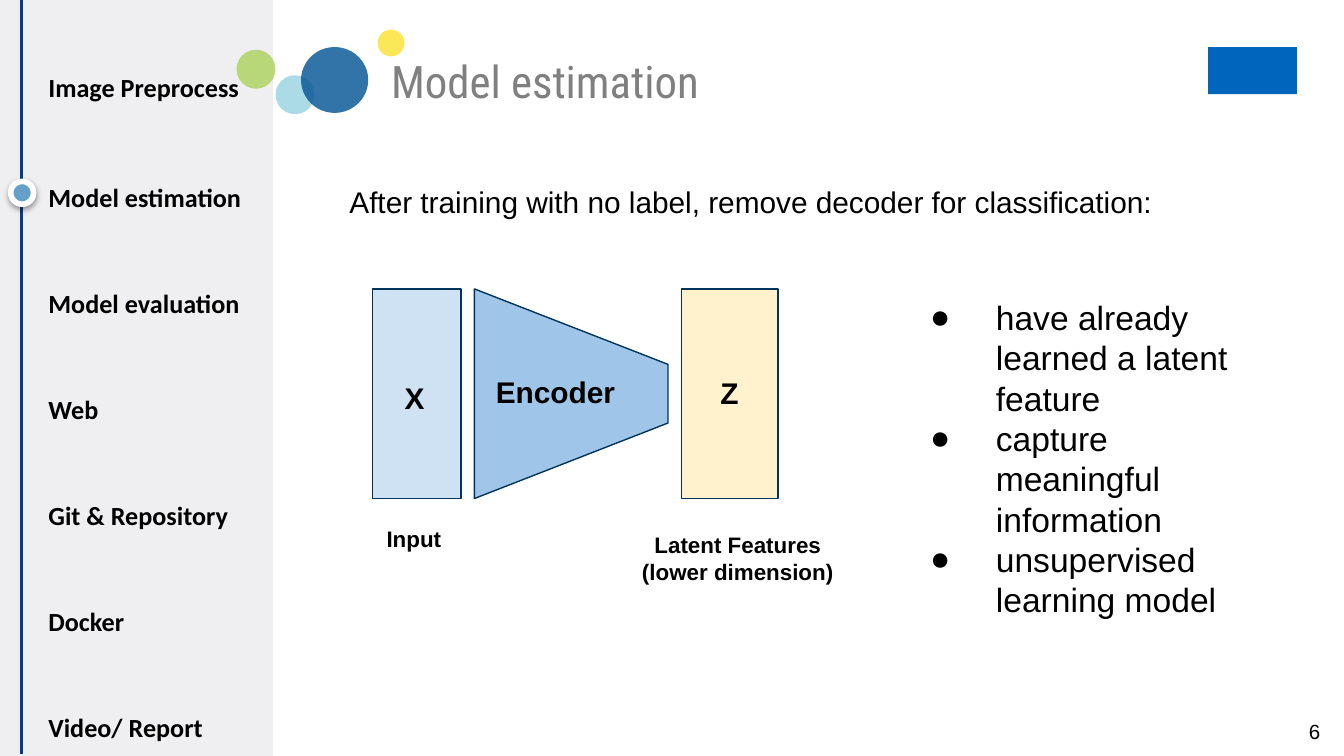
from lxml import etree
from pptx import Presentation
from pptx.dml.color import RGBColor
from pptx.enum.shapes import MSO_CONNECTOR, MSO_SHAPE
from pptx.enum.text import MSO_ANCHOR, MSO_AUTO_SIZE, PP_ALIGN
from pptx.oxml.ns import qn
from pptx.util import Inches, Pt

RECT, OVAL, TRAP = MSO_SHAPE.RECTANGLE, MSO_SHAPE.OVAL, MSO_SHAPE.TRAPEZOID
LEFT, MID = PP_ALIGN.LEFT, PP_ALIGN.CENTER
TOP, FIXED = MSO_ANCHOR.TOP, MSO_AUTO_SIZE.NONE

# Content
TITLE = "Model estimation"
NAV = [("Image Preprocess", 1.43), ("Model estimation", 1.45),
       ("Model evaluation", 1.44), ("Web", 0.38), ("Git & Repository", 1.35),
       ("Docker", 0.57), ("Video/ Report", 1.16)]
FIRST, LAST = 0.53, 5.26
POINTS = ["have already learned a latent feature",
          "capture meaningful information",
          "unsupervised learning model"]
DOTS = [(2.81, 0.22, 0.2, 0.2, "FBE22D"), (1.76, 0.37, 0.29, 0.29, "A9D25A"),
        (2.05, 0.56, 0.29, 0.29, "98D2E3"), (2.24, 0.35, 0.5, 0.49, "005293")]
BLOCKS = [(RECT, (2.77, 2.15, 0.66, 1.56), "CFE2F3"),
          (TRAP, (3.47, 2.21, 1.56, 1.44), "9FC5E8"),
          (RECT, (5.07, 2.15, 0.72, 1.56), "FFF2CC")]
# lines, box, side and top inset, size, bold, align, wrap, line spacing
LABELS = [
    (["After training with no label, remove decoder for classification:"],
     (2.6, 1.33, 6.05, 0.28), (0, 0), 16, False, LEFT, False, 1.14),
    (["Encoder"], (3.56, 2.65, 1.33, 0.6), (0.13, 0.13), 16, True, LEFT,
     True, 1),
    (["Z"], (5.23, 2.66, 0.44, 0.69), (0.13, 0.13), 16, True, LEFT, True, 1),
    (["X"], (3.01, 2.79, 0.15, 0.28), (0, 0), 16, True, LEFT, False, 1.14),
    (["Latent Features", "(lower dimension)"],
     (4.69, 3.95, 1.6, 0.69), (0, 0), 12, True, MID, True, 1),
    (["Input"], (2.53, 3.81, 1.1, 0.44), (0.1, 0.1), 12, True, MID, True, 1),
    (["6"], (9.64, 5.3, 0.49, 0.3), (0.1, 0.05), 11, False, LEFT, True, 1),
]


def color(fmt, code):
    fmt.rgb = RGBColor.from_string(code)


def place(box):
    return [Inches(v) for v in box]


def add(parent, tag, **attrs):
    node = etree.SubElement(parent, qn(tag))
    for key, val in attrs.items():
        node.set(key, str(val))
    return node


def draw(kind, box, fill, line=None, width=0.75, alpha=None):
    shape = slide.shapes.add_shape(kind, *place(box))
    shape.shadow.inherit = False
    shape.fill.solid()
    color(shape.fill.fore_color, fill)
    if alpha:
        tint = shape.fill._xPr.find(".//" + qn("a:srgbClr"))
        add(tint, "a:alpha", val=alpha * 1000)
    if line:
        color(shape.line.color, line)
        shape.line.width = Pt(width)
    else:
        shape.line.fill.background()
    return shape


def write(shape, lines, size, font="Arial", code="000000", bold=False,
          align=LEFT, inset=(0, 0), wrap=True, gap=1):
    frame = shape.text_frame
    frame.text = "\n".join(lines)
    frame.word_wrap, frame.auto_size = wrap, FIXED
    frame.vertical_anchor = TOP
    side, head = place(inset)
    frame.margin_left = frame.margin_right = side
    frame.margin_top = frame.margin_bottom = head
    for para in frame.paragraphs:
        para.alignment = align
        para.space_before = Pt(0)
        para.line_spacing = gap
        for run in para.runs:
            run.font.name, run.font.size = font, Pt(size)
            run.font.bold = bold
            color(run.font.color, code)


def move(shape, box):
    shape.left, shape.top, shape.width, shape.height = place(box)


# Wide 16:9 slide
prs = Presentation()
prs.slide_width = Inches(10)
prs.slide_height = Inches(10) * 9 // 16
slide = prs.slides.add_slide(prs.slide_layouts[1])

# Title and bullet list
title, body = slide.placeholders
move(title, (2.91, 0.4, 3.04, 0.4))
write(title, [TITLE], 24, "Roboto Condensed", "808080")
move(body, (6.61, 2.08, 3.04, 2.87))
write(body, POINTS, 18, inset=(0.13, 0.13))
for para in body.text_frame.paragraphs:
    props = para._p.get_or_add_pPr()
    props.set("marL", str(Inches(0.67)))
    props.set("indent", str(Inches(-0.49)))
    add(props, "a:buFont", typeface="Arial")
    add(props, "a:buChar", char="●")

# Plain block in the corner
draw(RECT, (8.99, 0.35, 0.66, 0.35), "0065BD")

# Sidebar with timeline
draw(RECT, (-0.06, 0, 2.09, 5.66), "EFEFF1")
rail = slide.shapes.add_connector(MSO_CONNECTOR.STRAIGHT,
                                  *place((0.16, 0, 0.16, 5.61)))
color(rail.line.color, "023E8A")
rail.line.width = Pt(1.5)
add(rail._element.spPr, "a:effectLst")
step = (LAST - FIRST) / (len(NAV) - 1)
for i, (name, width) in enumerate(NAV):
    box = slide.shapes.add_textbox(*place((0.36, FIRST + step * i, width, 0.26)))
    write(box, [name], 14, "Calibri", bold=True, wrap=False,
          gap=1.15 if i else 1)

# Marker of the current section, with a soft shadow
mark = draw(OVAL, (0.08, 1.35, 0.17, 0.17), "64A0C8", "FFFFFF", 3)
glow = add(mark._element.spPr.find(qn("a:effectLst")), "a:outerShdw",
           blurRad=Pt(3.1), dist=Pt(1.6), dir=90 * 60000)
add(add(glow, "a:srgbClr", val="000000"), "a:alpha", val=38000)

# Circles beside the title
for *box, fill in DOTS:
    draw(OVAL, box, fill, alpha=80)

# Encoder diagram
for kind, box, fill in BLOCKS:
    block = draw(kind, box, fill, "003359")
    if kind == TRAP:
        block.rotation = 90
        block.adjustments[0] = 0.39

# Labels
for lines, box, inset, size, bold, align, wrap, gap in LABELS:
    label = slide.shapes.add_textbox(*place(box))
    write(label, lines, size, bold=bold, align=align, inset=inset,
          wrap=wrap, gap=gap)

prs.save("out.pptx")
